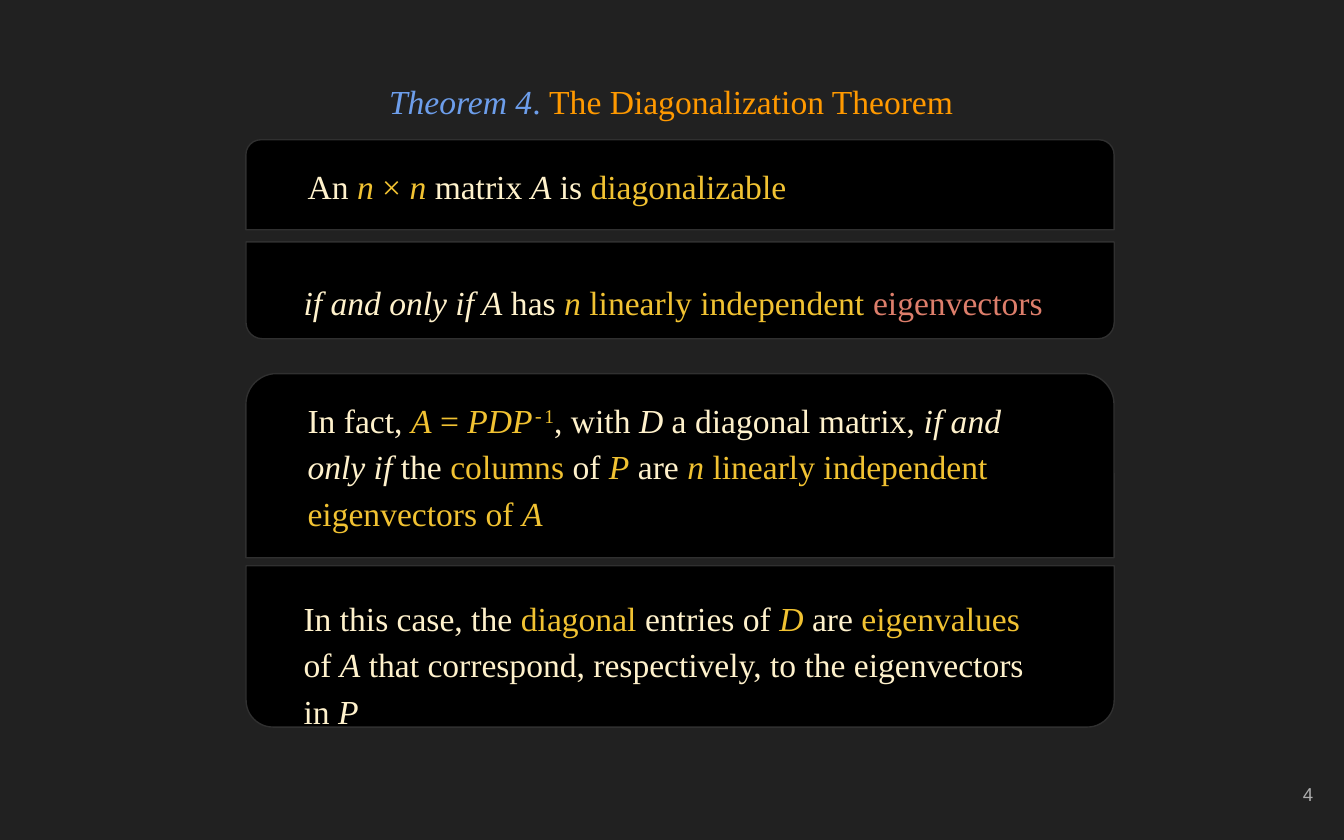
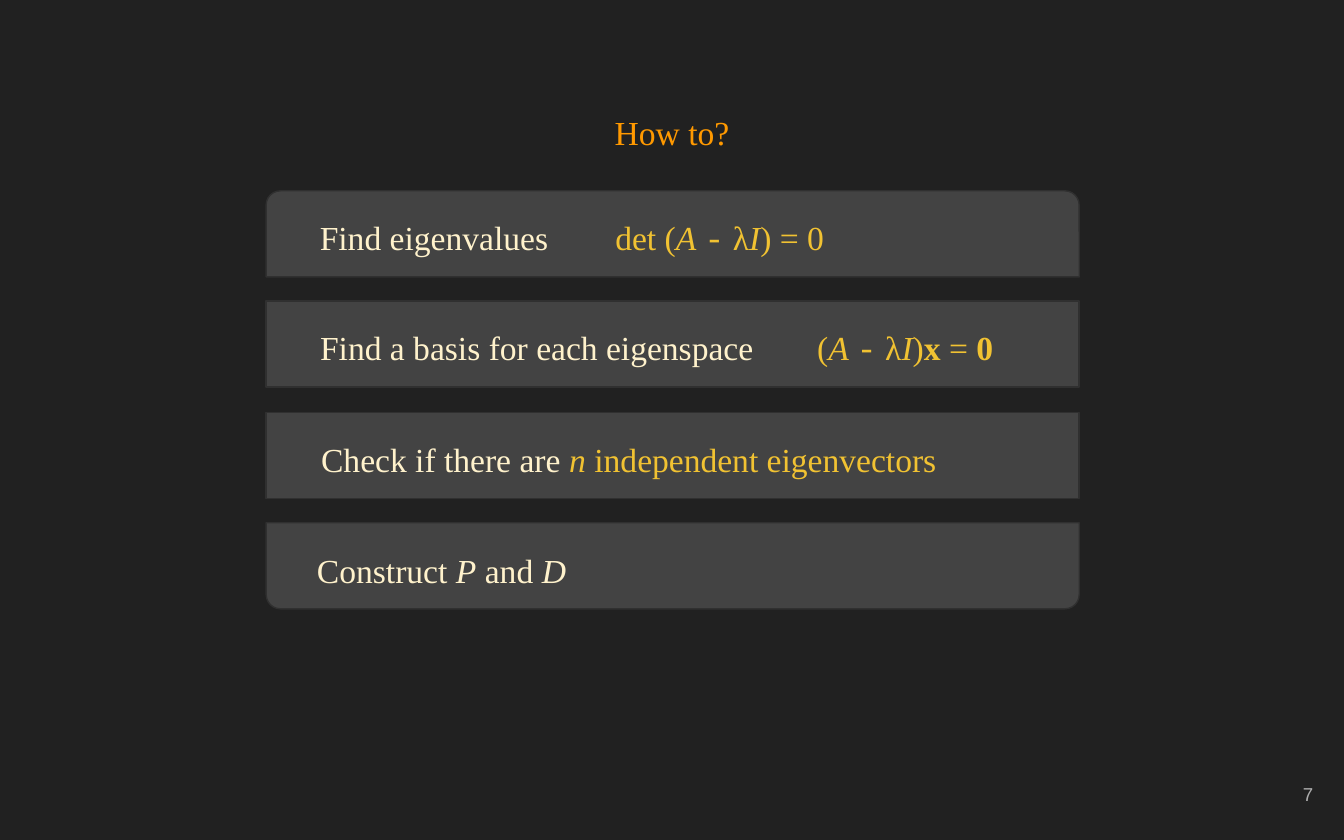
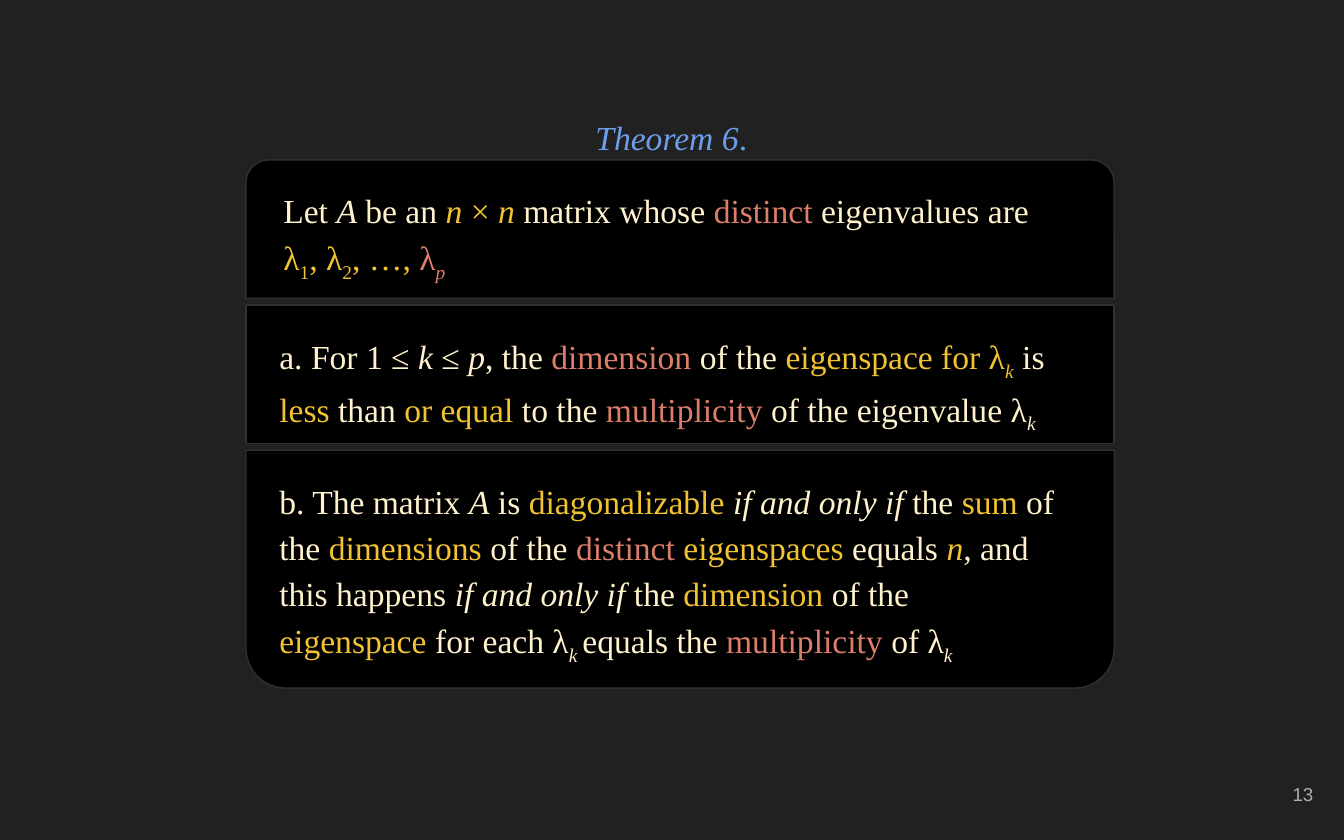
from pptx import Presentation
from pptx import util as u
from pptx.dml.color import RGBColor
from pptx.enum import shapes, text

COLOURS = {"cream": "FFF2CC", "gold": "F1C232", "red": "DD7E6B",
           "blue": "6D9EEB", "orange": "FF9900", "grey": "ADADAD"}
BACKGROUND, OUTLINE = "212121", "303030"
BLACK, CHARCOAL = "000000", "434343"
BASELINES = {"sub": "-25000", "super": "30000"}
TOP, MIDDLE = text.MSO_ANCHOR.TOP, text.MSO_ANCHOR.MIDDLE
LEFT, CENTER, RIGHT = text.PP_ALIGN.LEFT, text.PP_ALIGN.CENTER, text.PP_ALIGN.RIGHT

# A run is (text, style words); the style words default to cream, upright, Times New Roman.
# A label is (offset in its card, size, anchor, alignment, runs).
# A card is (gap above, height, rounded side, labels).
THEOREM_4 = [
    (0, 0.67, "top", [((0.36, 0.05), (5.99, 0.56), TOP, LEFT, [
        ("An ", ""), ("n ", "gold italic"), ("× ", "gold"), ("n ", "gold italic"),
        ("matrix ", ""), ("A", "italic"), (" is ", ""), ("diagonalizable", "gold")])]),
    (0.09, 0.72, "bottom", [((0.33, 0.09), (5.79, 0.67), MIDDLE, LEFT, [
        ("if and only if A", "italic"), (" has ", ""), ("n", "gold italic"),
        (" linearly independent ", "gold"), ("eigenvectors", "red")])]),
    (0.26, 1.37, "top", [((0.36, 0.05), (5.75, 1.15), TOP, LEFT, [
        ("In fact, ", ""), ("A", "gold italic"), (" = ", "gold"), ("PDP", "gold italic"),
        ("-", "gold super mono"), ("1", "gold super"), (", with ", ""), ("D", "italic"),
        (" a diagonal matrix, ", ""), ("if and only if", "italic"), (" the ", ""),
        ("columns", "gold"), (" of ", ""), ("P", "gold italic"), (" are ", ""),
        ("n", "gold italic"), (" linearly independent eigenvectors of ", "gold"),
        ("A", "gold italic")])]),
    (0.06, 1.2, "bottom", [((0.33, 0.17), (5.79, 1.08), MIDDLE, LEFT, [
        ("In this case, the ", ""), ("diagonal ", "gold"), ("entries of ", ""),
        ("D", "gold italic"), (" are ", ""), ("eigenvalues ", "gold"), ("of ", ""),
        ("A", "italic"), (" that correspond, respectively, to the eigenvectors in ", ""),
        ("P", "italic")])]),
]

A_MINUS_LAMBDA_I = [("A ", "gold italic"), ("-", "gold mono"), (" λ", "gold"),
                    ("I", "gold italic")]
STEPS = [
    (0, 0.64, "top", [
        ((2.36, 0.16), (2.03, 0.32), MIDDLE, CENTER,
         [("det (", "gold"), *A_MINUS_LAMBDA_I, (") = 0", "gold")]),
        ((0.25, 0.16), (2, 0.32), MIDDLE, CENTER, [("Find eigenvalues", "")])]),
    (0.18, 0.64, "none", [
        ((3.66, 0.16), (2.19, 0.32), MIDDLE, CENTER,
         [("(", "gold"), *A_MINUS_LAMBDA_I, (")", "gold"), ("x", "gold bold"),
          (" = ", "gold"), ("0", "gold bold")]),
        ((0.22, 0.16), (3.59, 0.32), MIDDLE, CENTER,
         [("Find a basis for each eigenspace", "")])]),
    (0.19, 0.64, "none", [((0.22, 0.16), (4.96, 0.32), MIDDLE, CENTER, [
        ("Check if there are ", ""), ("n ", "gold italic"),
        ("independent eigenvectors", "gold")])]),
    (0.18, 0.64, "bottom", [((0.28, 0.17), (5.47, 0.32), MIDDLE, LEFT, [
        ("Construct ", ""), ("P", "italic"), (" and ", ""), ("D", "italic")])]),
]

THEOREM_6 = [
    (0, 1.03, "top", [((0.18, 0.08), (5.99, 0.86), TOP, LEFT, [
        ("Let ", ""), ("A", "italic"), (" be an ", ""), ("n ", "gold italic"),
        ("× ", "gold"), ("n ", "gold italic"), ("matrix whose ", ""), ("distinct ", "red"),
        ("eigenvalues are ", ""), ("λ", "gold"), ("1", "gold sub"), (", λ", "gold"),
        ("2", "gold sub"), (", …, ", "gold"), ("λ", "red"), ("p", "red italic sub")])]),
    (0.05, 1.03, "none", [((0.15, 0.08), (5.99, 0.86), TOP, LEFT, [
        ("a. For 1 ≤ ", ""), ("k", "italic"), (" ≤ ", ""), ("p", "italic"), (", the ", ""),
        ("dimension ", "red"), ("of the ", ""), ("eigenspace for λ", "gold"),
        ("k", "gold italic sub"), (" is ", ""), ("less", "gold"), (" than ", ""),
        ("or equal", "gold"), (" to the ", ""), ("multiplicity", "red"),
        (" of the eigenvalue λ", ""), ("k", "italic sub")])]),
    (0.05, 1.77, "bottom", [((0.15, 0.08), (5.99, 1.55), TOP, LEFT, [
        ("b. The matrix ", ""), ("A", "italic"), (" is ", ""), ("diagonalizable ", "gold"),
        ("if and only if", "italic"), (" the ", ""), ("sum ", "gold"), ("of the ", ""),
        ("dimensions ", "gold"), ("of the ", ""), ("distinct ", "red"),
        ("eigenspaces", "gold"), (" equals ", ""), ("n", "gold italic"),
        (", and this happens ", ""), ("if and only if", "italic"), (" the ", ""),
        ("dimension ", "gold"), ("of the ", ""), ("eigenspace ", "gold"),
        ("for each λ", ""), ("k ", "italic sub"), ("equals the ", ""),
        ("multiplicity", "red"), (" of λ", ""), ("k", "italic sub")])]),
]

SLIDES = [
    {"number": "4", "title_box": (0.48, 0.46, 9.03, 0.58), "title_anchor": MIDDLE,
     "title": [("Theorem 4", "blue italic"), (". ", "blue"),
               ("The Diagonalization Theorem", "orange")],
     "title_spacing": 1.0, "fill": BLACK, "cards_at": (1.83, 1.04), "card_width": 6.46,
     "space_after": 16, "cards": THEOREM_4},
    {"number": "7", "title_box": (0.34, 0.69, 9.32, 0.48), "title_anchor": TOP,
     "title": [("How to?", "orange")],
     "title_spacing": 1.15, "fill": CHARCOAL, "cards_at": (1.98, 1.42), "card_width": 6.05,
     "space_after": 0, "cards": STEPS},
    {"number": "13", "title_box": (0.48, 0.73, 9.03, 0.58), "title_anchor": MIDDLE,
     "title": [("Theorem 6", "blue italic"), (".", "blue")],
     "title_spacing": 1.0, "fill": BLACK, "cards_at": (1.83, 1.19), "card_width": 6.46,
     "space_after": 16, "cards": THEOREM_6},
]


def colour(value):
    return RGBColor.from_string(value)


def set_all(target, values):
    for name, value in values.items():
        setattr(target, name, value)


def inches(*lengths):
    return [u.Inches(length) for length in lengths]


def write(shape, runs, anchor, align, line_spacing=1.15, space_after=0,
          size=18, font="Times New Roman"):
    """Fill a shape with one paragraph of styled runs."""
    frame = shape.text_frame
    set_all(frame, {"word_wrap": True, "auto_size": text.MSO_AUTO_SIZE.NONE,
                    "vertical_anchor": anchor})
    set_all(frame, {f"margin_{side}": u.Inches(0.1)
                    for side in ("left", "top", "right", "bottom")})
    paragraph = frame.paragraphs[0]
    set_all(paragraph, {"alignment": align, "line_spacing": line_spacing,
                        "space_after": u.Pt(space_after)})
    for words, style in runs:
        styles = style.split()
        run = paragraph.add_run()
        run.text = words
        set_all(run.font, {"size": u.Pt(size), "bold": "bold" in styles,
                           "italic": "italic" in styles,
                           "name": "Courier New" if "mono" in styles else font})
        name = next((word for word in styles if word in COLOURS), "cream")
        run.font.color.rgb = colour(COLOURS[name])
        for word in styles:
            if word in BASELINES:
                run.font._rPr.set("baseline", BASELINES[word])


def add_card(slide, box, rounded, fill):
    """Add a group holding a panel rounded on one side, and return the group."""
    group = slide.shapes.add_group_shape()
    kind = shapes.MSO_SHAPE.RECTANGLE if rounded == "none" else shapes.MSO_SHAPE.ROUND_2_SAME_RECTANGLE
    panel = group.shapes.add_shape(kind, *inches(*box))
    panel.shadow.inherit = False
    panel.fill.solid()
    panel.fill.fore_color.rgb = colour(fill)
    panel.line.color.rgb = colour(OUTLINE)
    panel.line.width = u.Pt(0.75)
    if rounded == "bottom":
        panel.rotation = 180
    return group


def add_cards(slide, content):
    left, top = content["cards_at"]
    for gap, height, rounded, labels in content["cards"]:
        top += gap
        group = add_card(slide, (left, top, content["card_width"], height),
                         rounded, content["fill"])
        for (across, down), size, anchor, align, runs in labels:
            label = group.shapes.add_textbox(*inches(left + across, top + down, *size))
            write(label, runs, anchor, align, space_after=content["space_after"])
        top += height


def add_slide(presentation, content):
    slide = presentation.slides.add_slide(presentation.slide_layouts[5])
    title = slide.shapes.title
    set_all(title, dict(zip(("left", "top", "width", "height"),
                            inches(*content["title_box"]))))
    write(title, content["title"], content["title_anchor"], CENTER,
          content["title_spacing"], 16)
    number = slide.shapes.add_textbox(*inches(9.27, 5.67, 0.6, 0.48))
    write(number, [(content["number"], "grey")], MIDDLE, RIGHT, 1.0, size=10, font="Arial")
    add_cards(slide, content)


def main():
    presentation = Presentation()
    set_all(presentation, {"slide_width": u.Inches(10), "slide_height": u.Inches(6.25)})
    background = presentation.slide_master.background.fill
    background.solid()
    background.fore_color.rgb = colour(BACKGROUND)
    for content in SLIDES:
        add_slide(presentation, content)
    presentation.save("out.pptx")


if __name__ == "__main__":
    main()
